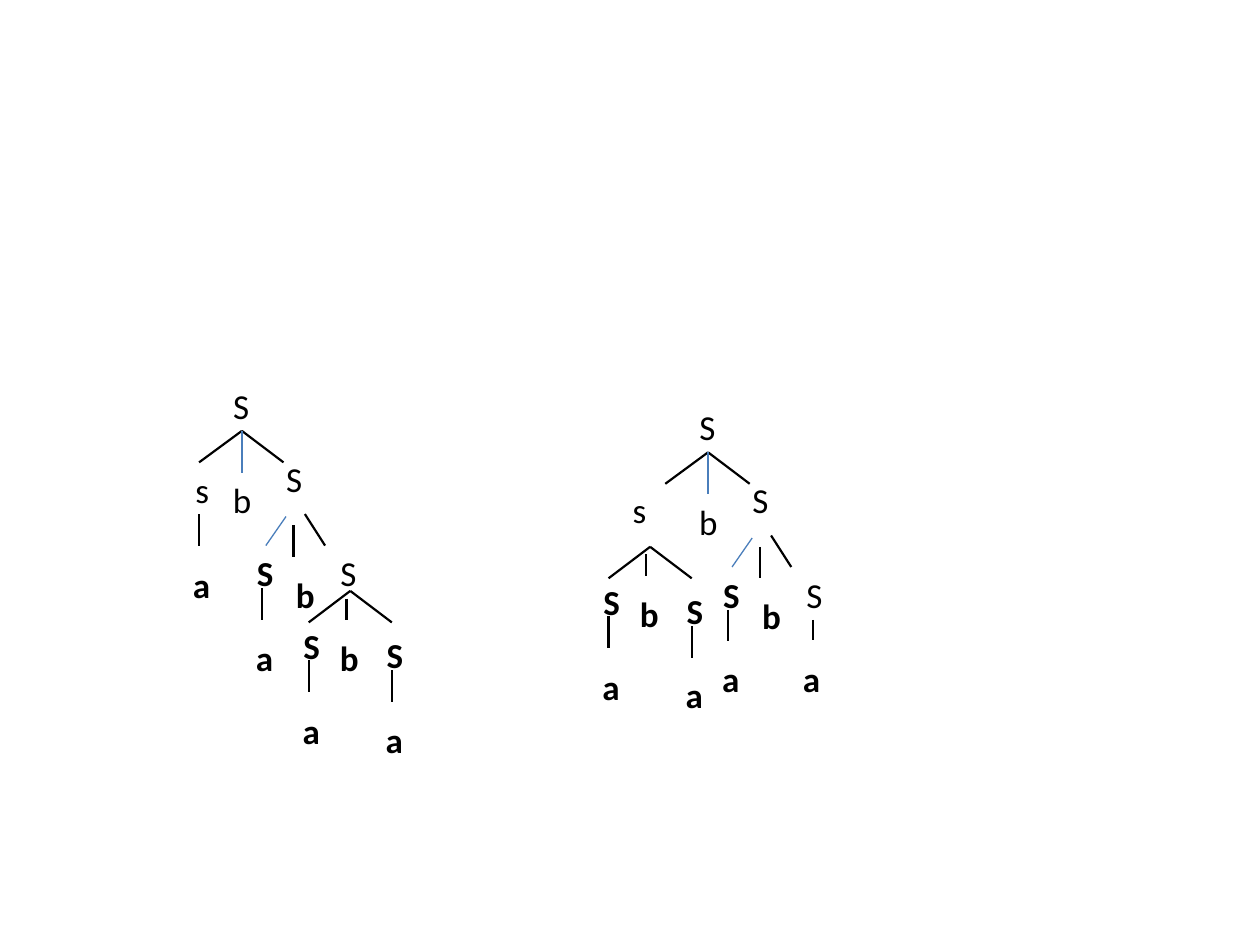
import pptx
import pptx.util
import pptx.dml.color
import pptx.enum.shapes
import pptx.enum.text
import pptx.oxml
import pptx.oxml.ns

BLACK, BLUE = "000000", "4A7EBB"
WIDTH = {"s": 0.31, "S": 0.33, "a": 0.34, "b": 0.34}
HIGH = 0.44
FONT = {"name": "Calibri", "size": pptx.util.Pt(20)}
FRAME = {
    "word_wrap": False,
    "auto_size": pptx.enum.text.MSO_AUTO_SIZE.SHAPE_TO_FIT_TEXT,
    "margin_left": pptx.util.Inches(0.1),
    "margin_right": pptx.util.Inches(0.1),
    "margin_top": pptx.util.Inches(0.05),
    "margin_bottom": pptx.util.Inches(0.05),
}

CROWN = {
    "nodes": [
        ("S", 0, 0, False), ("b", 0, 0.75, False), ("S", 0.42, 0.58, False),
        ("S", 0.19, 1.33, True), ("b", 0.5, 1.5, True),
        ("S", 0.85, 1.33, False), ("a", 0.18, 2, True),
    ],
    "edges": [
        (0.17, 0.42, -0.17, 0.67, BLACK), (0.17, 0.42, 0.5, 0.67, BLACK),
        (0.17, 0.42, 0.17, 0.75, BLUE), (0.52, 1.1, 0.36, 1.33, BLUE),
        (0.58, 1.17, 0.58, 1.42, BLACK), (0.67, 1.08, 0.83, 1.33, BLACK),
        (0.33, 1.67, 0.33, 1.92, BLACK),
    ],
}
FORK = {
    "nodes": [
        ("S", 0, 0, True), ("b", 0.29, 0.09, True), ("S", 0.66, 0.07, True),
        ("a", -0.01, 0.67, True), ("a", 0.65, 0.74, True),
    ],
    "edges": [
        (0.47, -0.22, 0.14, 0.03, BLACK), (0.47, -0.22, 0.8, 0.03, BLACK),
        (0.44, -0.16, 0.44, 0.01, BLACK),
        (0.14, 0.33, 0.14, 0.58, BLACK), (0.8, 0.41, 0.8, 0.66, BLACK),
    ],
}
LEFT = {
    "nodes": [("s", -0.3, 0.67, False), ("a", -0.32, 1.42, True)],
    "edges": [(-0.17, 1.08, -0.17, 1.33, BLACK)],
}
RIGHT = {
    "nodes": [("s", -0.53, 0.66, False), ("a", 0.82, 2, True)],
    "edges": [(1, 1.75, 1, 1.91, BLACK)],
}
PARTS = [
    (CROWN, 1.75, 3), (LEFT, 1.75, 3), (FORK, 2.31, 4.91),
    (CROWN, 5.45, 3.17), (RIGHT, 5.45, 3.17), (FORK, 4.69, 4.56),
]


def paint(code):
    return pptx.dml.color.RGBColor.from_string(code)


def apply(item, values):
    for name, value in values.items():
        setattr(item, name, value)


def node(slide, text, x, y, bold):
    box = slide.shapes.add_textbox(
        *map(pptx.util.Inches, (x, y, WIDTH[text], HIGH)))
    apply(box.text_frame, FRAME)
    para = box.text_frame.paragraphs[0]
    para.alignment = pptx.enum.text.PP_ALIGN.CENTER
    run = para.add_run()
    run.text = text
    apply(run.font, {**FONT, "bold": bold})
    run.font.color.rgb = paint(BLACK)


def edge(slide, ends, color):
    line = slide.shapes.add_connector(
        pptx.enum.shapes.MSO_CONNECTOR.STRAIGHT,
        *map(pptx.util.Inches, ends))
    line.line.color.rgb = paint(color)
    line.line.width = pptx.util.Pt(0.75 if color == BLUE else 1.25)
    line._element.spPr.append(pptx.oxml.parse_xml(
        "<a:effectLst %s/>" % pptx.oxml.ns.nsdecls("a")))


def main():
    deck = pptx.Presentation()
    apply(deck, {"slide_width": pptx.util.Inches(10),
                 "slide_height": pptx.util.Inches(7.5)})
    slide = deck.slides.add_slide(deck.slide_layouts[6])
    for part, x, y in PARTS:
        for text, dx, dy, bold in part["nodes"]:
            node(slide, text, x + dx, y + dy, bold)
        for ax, ay, bx, by, color in part["edges"]:
            edge(slide, (x + ax, y + ay, x + bx, y + by), color)
    deck.save("out.pptx")


if __name__ == "__main__":
    main()
